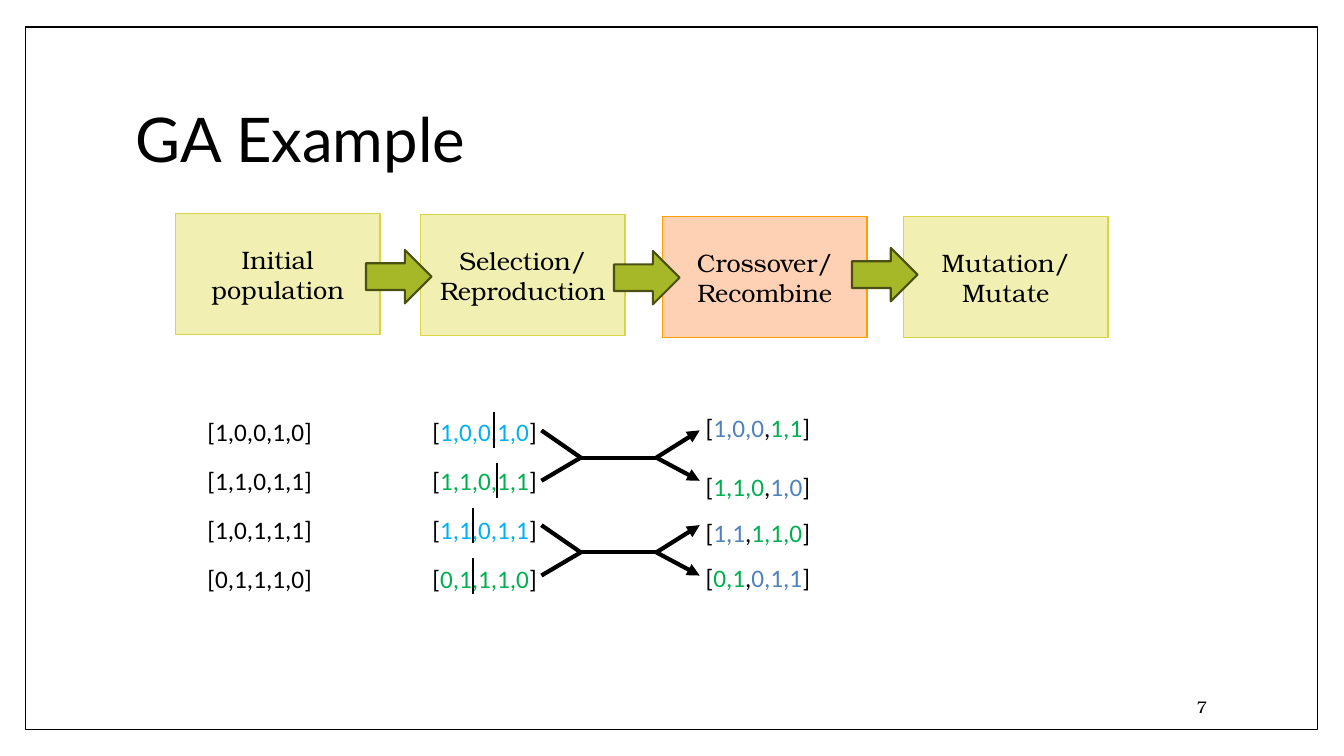
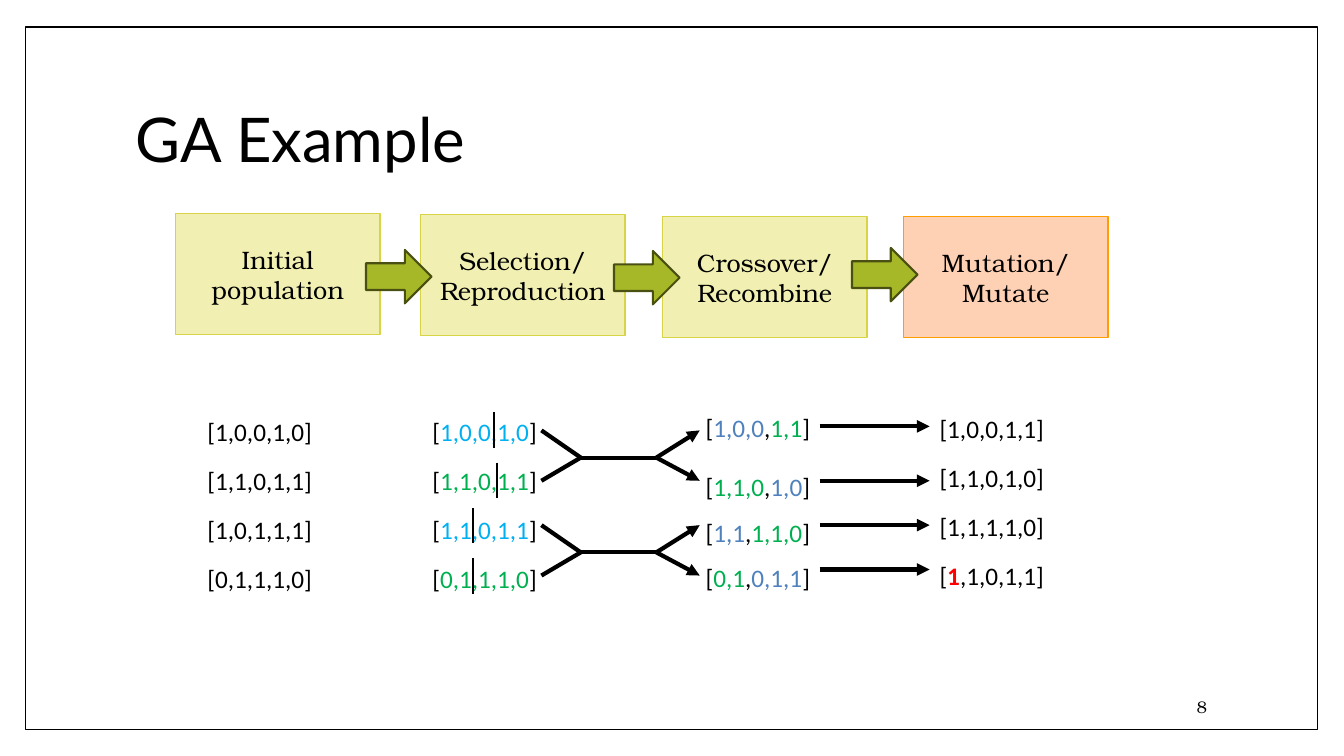
from dataclasses import dataclass

from lxml import etree
from pptx import Presentation
from pptx.dml.color import RGBColor
from pptx.enum.shapes import MSO_CONNECTOR, MSO_SHAPE
from pptx.enum.text import MSO_ANCHOR, MSO_AUTO_SIZE, PP_ALIGN
from pptx.oxml.ns import qn
from pptx.util import Pt

RECT, ARROW = MSO_SHAPE.RECTANGLE, MSO_SHAPE.RIGHT_ARROW
LINE = MSO_CONNECTOR.STRAIGHT
TOP, MIDDLE = MSO_ANCHOR.TOP, MSO_ANCHOR.MIDDLE
LEFT, CENTER, RIGHT = PP_ALIGN.LEFT, PP_ALIGN.CENTER, PP_ALIGN.RIGHT
GROW = MSO_AUTO_SIZE.SHAPE_TO_FIT_TEXT
PX = 9144  # 100 px to the inch


@dataclass(frozen=True)
class Theme:
    ink: str = "000000"
    paper: str = "FFFFFF"
    step: tuple = ("F1F0B2", "D7D447")
    active: tuple = ("FFD1B4", "FE9E00")
    arrow: tuple = ("A6B727", "495011")
    sky: str = "00B0F0"
    green: str = "00B050"
    blue: str = "4F81BD"
    red: str = "FF0000"
    head: str = "Lato"
    body: str = "TeX Gyre Bonum"
    code: str = "Calibri"
    title: int = 44
    text: int = 18
    small: int = 12


T = Theme()


class Deck:
    def __init__(self):
        self.prs = Presentation()
        self.prs.slide_width, self.prs.slide_height = 1333 * PX, 750 * PX

    def page(self, title, number):
        """Start a slide with its frame, title and number."""
        layout = self.prs.slide_layouts[6]
        self.shapes = self.prs.slides.add_slide(layout).shapes
        self.shape(RECT, (25, 27, 1282, 697), (T.paper, T.ink), 1)
        self.label((125, 67, 1080, 148), title, T.head, T.title, spacing=0.9)
        self.label((1020, 681, 187, 40), str(number), T.body, T.small, RIGHT)

    def shape(self, kind, box, paint, width):
        item = self.shapes.add_shape(kind, *(n * PX for n in box))
        item.shadow.inherit = False
        fill, edge = paint
        item.fill.solid()
        item.fill.fore_color.rgb = RGBColor.from_string(fill)
        item.line.color.rgb = RGBColor.from_string(edge)
        item.line.width = Pt(width)
        return item

    def frame(self, box, anchor):
        area = self.shapes.add_textbox(*(n * PX for n in box)).text_frame
        area.word_wrap = True
        area.vertical_anchor = anchor
        return area

    def style(self, run, font, size, color=T.ink, bold=False):
        run.font.name, run.font.size, run.font.bold = font, Pt(size), bold
        run.font.color.rgb = RGBColor.from_string(color)

    def fill_text(self, area, text, font, size, align):
        area.text = text
        for para in area.paragraphs:
            para.alignment = align
            for run in para.runs:
                self.style(run, font, size)

    def label(self, box, text, font, size, align=LEFT, spacing=1.0):
        area = self.frame(box, MIDDLE)
        self.fill_text(area, text, font, size, align)
        area.paragraphs[0].line_spacing = spacing

    def step(self, box, text, paint):
        area = self.shape(RECT, box, paint, 0.79).text_frame
        area.word_wrap, area.vertical_anchor = True, MIDDLE
        self.fill_text(area, text, T.body, T.text, CENTER)

    def genes(self, box, rows, gaps):
        """Add rows of (text, colour) parts; gaps holds (line, after)."""
        area = self.frame(box, TOP)
        area.auto_size = GROW
        for i, (parts, (line, after)) in enumerate(zip(rows, gaps)):
            para = area.add_paragraph() if i else area.paragraphs[0]
            para.line_spacing, para.space_after = line, Pt(after)
            for text, color in parts:
                run = para.add_run()
                run.text = text
                self.style(run, T.code, T.text, color, color == T.red)

    def line(self, start, end, width=3, head=False):
        item = self.shapes.add_connector(
            LINE, *(n * PX for n in (*start, *end)))
        item.line.color.rgb = RGBColor.from_string(T.ink)
        item.line.width = Pt(width)
        props = item._element.spPr
        if head:
            tail = etree.SubElement(props.find(qn("a:ln")), qn("a:tailEnd"))
            tail.set("type", "triangle")
        etree.SubElement(props, qn("a:effectLst"))


def row(*parts):
    """Put black brackets round the coloured parts."""
    return [("[", T.ink), *parts, ("]", T.ink)]


def cross(first, second, flip):
    """A child row: two parent pieces joined by a black comma."""
    one, two = (T.green, T.blue) if flip else (T.blue, T.green)
    return row((first, one), (",", T.ink), (second, two))


STEPS = [(174, 212, "Initial population"), (417, 213, "Selection/\nReproduction"),
         (657, 215, "Crossover/ Recombine"), (896, 215, "Mutation/ Mutate")]
ARROWS = [(363, 248), (609, 249), (845, 246)]
START = ["1,0,0,1,0", "1,1,0,1,1", "1,0,1,1,1", "0,1,1,1,0"]
PICKED = ["1,0,0,1,0", "1,1,0,1,1", "1,1,0,1,1", "0,1,1,1,0"]
CHILDREN = [("1,0,0", "1,1"), ("1,1,0", "1,0"), ("1,1", "1,1,0"), ("0,1", "0,1,1")]
CUTS = [(490, 409), (493, 459), (469, 504), (469, 554)]
MUTATED = [row((genes, T.ink)) for genes in ("1,0,0,1,1", "1,1,0,1,0", "1,1,1,1,0")]
MUTATED.append(row(("1", T.red), (",1,0,1,1", T.ink)))
EVEN = [(1.15, 10)] * 4
LOOSE = [(1.0, 10)] + [(1.5, 0)] * 3


def example(deck, number, active):
    deck.page("GA Example", number)

    # Process steps and the arrows between them
    for i, (x, y, text) in enumerate(STEPS):
        deck.step((x, y, 203, 120), text, T.active if i == active else T.step)
    for x, y in ARROWS:
        deck.shape(ARROW, (x, y, 65, 53), T.arrow, 1.5)

    # Population, parents and children
    deck.genes((196, 404, 180, 189), [row((g, T.ink)) for g in START], EVEN)
    inks = (T.sky, T.green) * 2
    deck.genes((419, 404, 180, 189), [row(p) for p in zip(PICKED, inks)], EVEN)
    kids = [cross(*pair, i % 2) for i, pair in enumerate(CHILDREN)]
    deck.genes((690, 404, 180, 185), kids, LOOSE)

    # Crossover links and cut marks
    for mid in (454, 548):
        deck.line((576, mid), (651, mid))
        for y in (mid - 27, mid + 23):
            deck.line((537, y), (576, mid))
            deck.line((651, mid), (694, y), head=True)
    for x, y in CUTS:
        deck.line((x, y), (x, y + 35), 1.5)


def main():
    deck = Deck()
    example(deck, 7, active=2)
    example(deck, 8, active=3)

    # Mutation result on the last slide
    deck.genes((922, 401, 203, 189), MUTATED, EVEN)
    for y in (423, 477, 521, 565):
        deck.line((813, y), (922, y), head=True)
    deck.prs.save("out.pptx")


if __name__ == "__main__":
    main()
